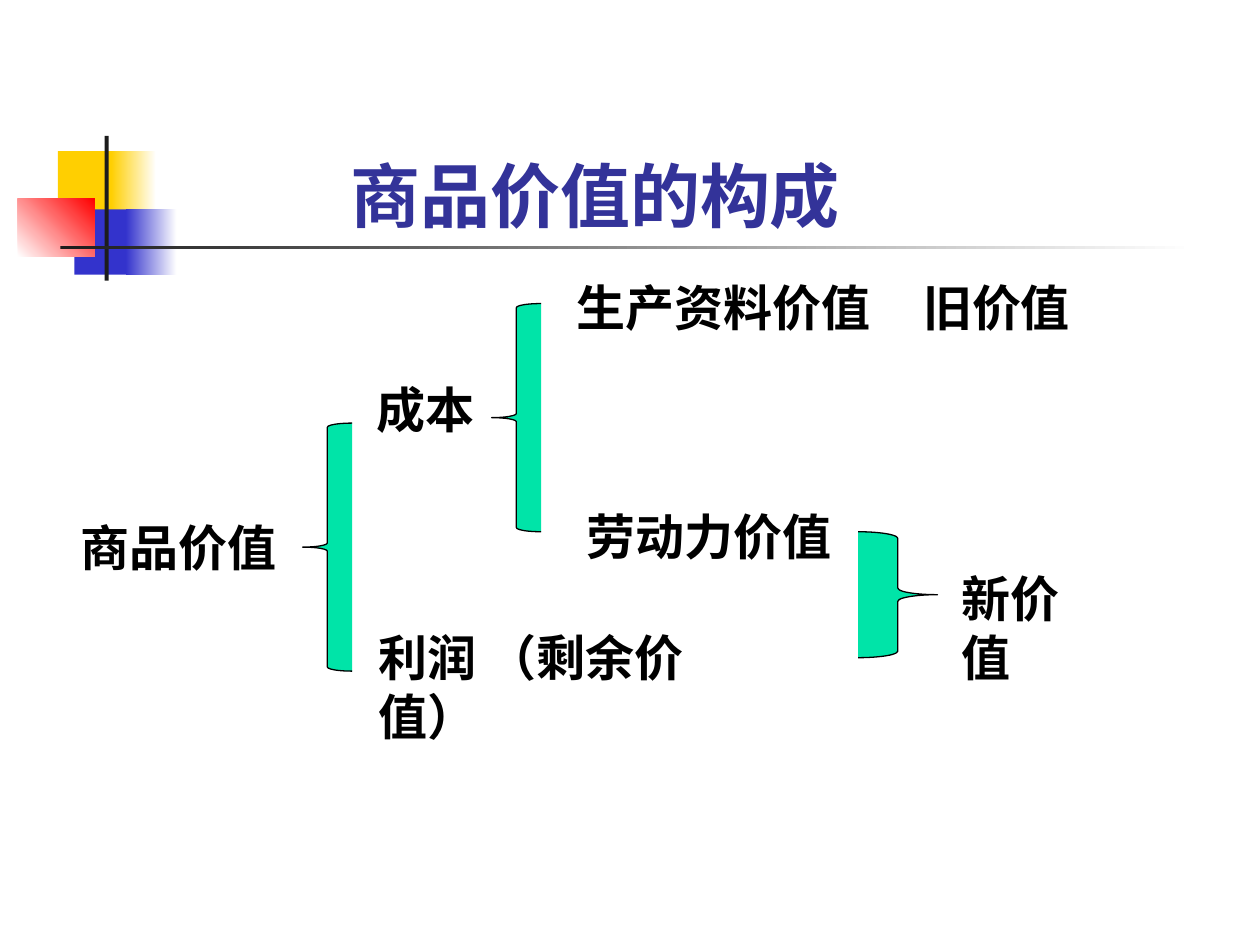
"""Build a slide that shows how the value of a commodity is made up."""
from pptx import Presentation
from pptx.dml.color import RGBColor
from pptx.enum.shapes import MSO_SHAPE
from pptx.enum.text import MSO_ANCHOR, MSO_AUTO_SIZE, PP_ALIGN
from pptx.util import Cm, Pt

RECTANGLE = MSO_SHAPE.RECTANGLE
LEFT_BRACE = MSO_SHAPE.LEFT_BRACE
RIGHT_BRACE = MSO_SHAPE.RIGHT_BRACE
TOP = MSO_ANCHOR.TOP
LEFT = PP_ALIGN.LEFT
FIT_SHAPE = MSO_AUTO_SIZE.SHAPE_TO_FIT_TEXT

YELLOW, BLUE, RED = "FFCF01", "3333CC", "FF0000"
DARK, WHITE, BLACK = "1C1C1C", "FFFFFF", "000000"
GREEN, TITLE_BLUE = "00E4A8", "333399"


def rgb(value):
    """Turn a hex string into a colour."""
    return RGBColor.from_string(value)


def write(box, text, size, color):
    """Put one bold, unwrapped line of text in a box."""
    frame = box.text_frame
    frame.text = text
    frame.word_wrap = False
    frame.auto_size = FIT_SHAPE
    frame.vertical_anchor = TOP
    para = frame.paragraphs[0]
    para.alignment = LEFT
    font = para.runs[0].font
    font.name, font.size, font.bold = "Arial", Pt(size), True
    font.color.rgb = rgb(color)


deck = Presentation()
deck.slide_width, deck.slide_height = Cm(25.4), Cm(19.05)
page = deck.slides.add_slide(deck.slide_layouts[5])

decorations = [
    (1.17, 3.05, 1.22, 1.32, [YELLOW], 0),
    (2.24, 3.05, 0.91, 1.32, [YELLOW, WHITE], 0),
    (1.5, 4.22, 1.17, 1.32, [BLUE], 0),
    (2.54, 4.22, 1.02, 1.32, [BLUE, WHITE], 0),
    (0.36, 4.01, 1.55, 1.17, [WHITE, RED], 45),
    (2.11, 2.74, 0.08, 2.92, [DARK], 0),
    (1.22, 4.95, 22.86, 0.08, [DARK, WHITE], 0),
]
for left, top, width, height, colors, angle in decorations:
    block = page.shapes.add_shape(RECTANGLE, Cm(left), Cm(top), Cm(width), Cm(height))
    block.shadow.inherit = False
    block.line.fill.background()
    if len(colors) == 1:
        block.fill.solid()
        block.fill.fore_color.rgb = rgb(colors[0])
    else:
        block.fill.gradient()
        block.fill.gradient_angle = angle
        for stop, color in zip(block.fill.gradient_stops, colors):
            stop.color.rgb = rgb(color)

title = page.shapes.title
title.left, title.top, title.width, title.height = Cm(6.81), Cm(2.95), Cm(10.69), Cm(1.96)
write(title, "商品价值的构成", 40, TITLE_BLUE)

labels = [
    ("商品价值", 1.37, 10.31, 4.67),
    ("成本", 7.34, 7.52, 2.69),
    ("利润 （剩余价值）", 7.39, 12.52, 8.61),
    ("生产资料价值", 11.38, 5.46, 6.65),
    ("劳动力价值", 11.58, 10.08, 5.66),
    ("旧价值", 18.36, 5.46, 3.68),
    ("新价值", 19.13, 11.33, 3.45),
]
for text, left, top, width in labels:
    box = page.shapes.add_textbox(Cm(left), Cm(top), Cm(width), Cm(1.45))
    write(box, text, 28, BLACK)

braces = [
    (LEFT_BRACE, 6.1, 8.53, 1, 5),
    (LEFT_BRACE, 9.91, 6.12, 1, 4.6),
    (RIGHT_BRACE, 17.3, 10.72, 1.6, 2.54),
]
for kind, left, top, width, height in braces:
    brace = page.shapes.add_shape(kind, Cm(left), Cm(top), Cm(width), Cm(height))
    brace.shadow.inherit = False
    brace.fill.solid()
    brace.fill.fore_color.rgb = rgb(GREEN)
    brace.line.color.rgb = rgb(BLACK)
    brace.line.width = Pt(0.75)

deck.save("out.pptx")
